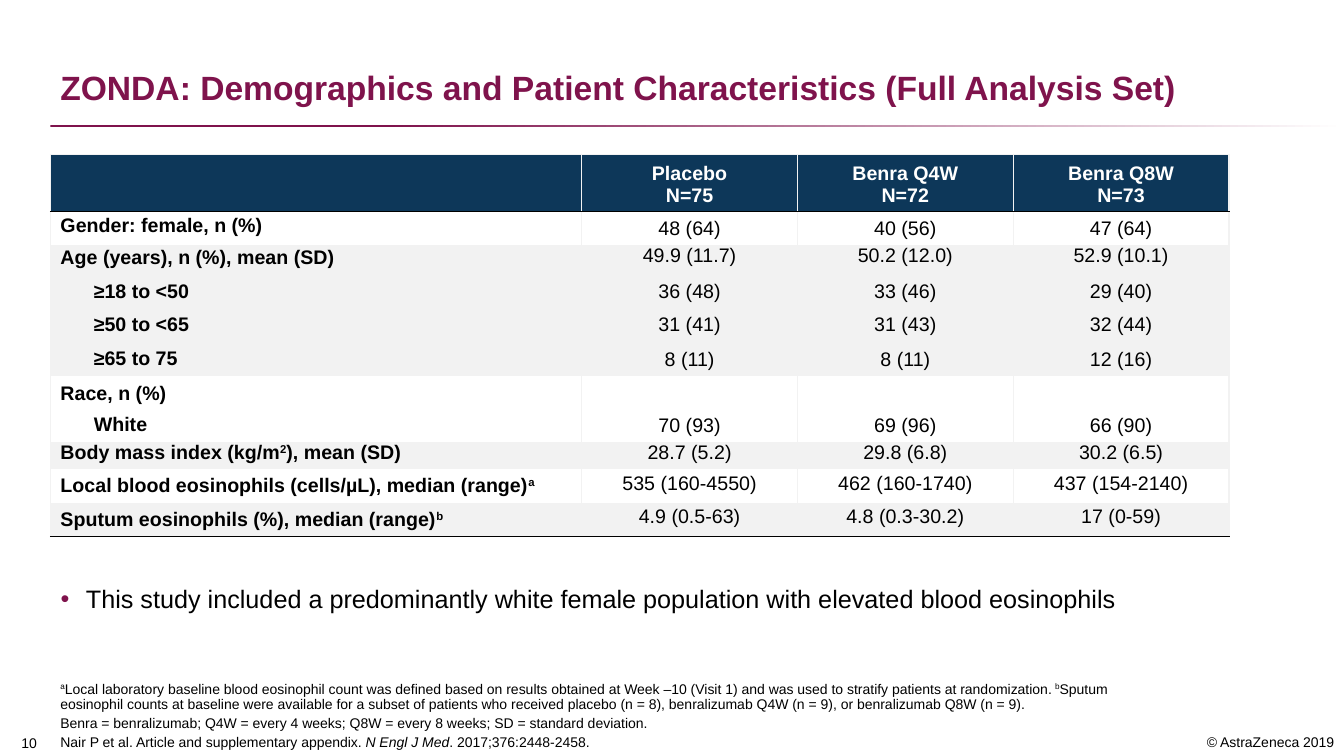
from lxml import etree
from pptx import Presentation
from pptx import util as u
from pptx.dml.color import RGBColor
from pptx.enum import shapes, text
from pptx.oxml.ns import qn

COLORS = {"plum": "7F134C", "navy": "0D3759", "grey": "F2F2F2",
          "white": "FFFFFF", "black": "000000"}
LEFT, CENTER, RIGHT = text.PP_ALIGN.LEFT, text.PP_ALIGN.CENTER, text.PP_ALIGN.RIGHT
TOP, MIDDLE, BOTTOM = (text.MSO_ANCHOR.TOP, text.MSO_ANCHOR.MIDDLE,
                       text.MSO_ANCHOR.BOTTOM)
SUPER, ITALIC = "super", "italic"


def rgb(name):
    return RGBColor.from_string(COLORS[name])


class SlideBuilder:
    font = "Arial"

    def __init__(self, slide):
        self.slide = slide

    def set_line(self, paragraph, segments, size, color="black", bold=False,
                 align=LEFT, spacing=None, before=None, after=None):
        paragraph.alignment = align
        paragraph.line_spacing = spacing
        if before:
            paragraph.space_before = u.Pt(before)
        if after:
            paragraph.space_after = u.Pt(after)
        if isinstance(segments, str):
            segments = [(segments, None)]
        for words, kind in segments:
            run = paragraph.add_run()
            run.text = words
            run.font.name = self.font
            run.font.size = u.Pt(size)
            run.font.bold = bold
            run.font.color.rgb = rgb(color)
            if kind == ITALIC:
                run.font.italic = True
            elif kind == SUPER:
                run.font._element.set("baseline", "30000")

    def textbox(self, box, paragraphs, size, anchor=TOP, wrap=True, before=None, **style):
        frame = self.slide.shapes.add_textbox(*map(u.Inches, box)).text_frame
        frame.word_wrap = wrap
        frame.vertical_anchor = anchor
        for i, segments in enumerate(paragraphs):
            paragraph = frame.add_paragraph() if i else frame.paragraphs[0]
            self.set_line(paragraph, segments, size, before=before if i else None, **style)
        return frame

    def bullet(self, box, sentence, size):
        frame = self.textbox(box, [], size, wrap=False)
        paragraph = frame.paragraphs[0]
        props = paragraph._p.get_or_add_pPr()
        props.set("marL", str(u.Inches(0.31)))
        props.set("indent", str(u.Inches(-0.25)))
        color = etree.SubElement(props, qn("a:buClr"))
        etree.SubElement(color, qn("a:srgbClr"), val=COLORS["plum"])
        etree.SubElement(props, qn("a:buFont"), typeface=self.font)
        etree.SubElement(props, qn("a:buChar"), char="•")
        self.set_line(paragraph, sentence, size, align=CENTER)

    def fading_rule(self, box):
        rule = self.slide.shapes.add_shape(shapes.MSO_SHAPE.RECTANGLE, *map(u.Inches, box))
        rule.shadow.inherit = False
        rule.line.fill.background()
        rule.fill.gradient()
        rule.fill.gradient_angle = 0
        for stop, (position, color) in zip(rule.fill.gradient_stops,
                                           [(0.26, "plum"), (1, "white")]):
            stop.position = position
            stop.color.rgb = rgb(color)

    def table(self, left, top, widths, heights):
        box = map(u.Inches, (left, top, sum(widths), sum(heights)))
        grid = self.slide.shapes.add_table(len(heights), len(widths), *box).table
        grid.first_row = grid.horz_banding = False
        for column, width in zip(grid.columns, widths):
            column.width = u.Inches(width)
        for row, height in zip(grid.rows, heights):
            row.height = u.Inches(height)
        return grid

    def cell(self, cell, fill, top=None, bottom=None, anchor=MIDDLE):
        props = cell._tc.get_or_add_tcPr()
        for side, color in (("L", "grey"), ("R", "grey"), ("T", top), ("B", bottom)):
            border = etree.SubElement(props, qn("a:ln" + side), w=str(u.Pt(1)))
            if color:
                solid = etree.SubElement(border, qn("a:solidFill"))
                etree.SubElement(solid, qn("a:srgbClr"), val=COLORS[color])
            else:
                etree.SubElement(border, qn("a:noFill"))
        cell.fill.solid()
        cell.fill.fore_color.rgb = rgb(fill)
        cell.vertical_anchor = anchor

    def cell_lines(self, cell, lines, gaps=None, indent=0, **style):
        frame = cell.text_frame
        for i, segments in enumerate(lines):
            paragraph = frame.add_paragraph() if i else frame.paragraphs[0]
            if i and indent:
                paragraph._p.get_or_add_pPr().set("marL", str(u.Inches(indent)))
            self.set_line(paragraph, segments, 14,
                          before=gaps[i - 1] if i and gaps else None, **style)


HEADERS = [[], ["Placebo", "N=75"], ["Benra Q4W", "N=72"], ["Benra Q8W", "N=73"]]
CHARACTERISTICS = [
    (["Gender: female, n (%)"], [["48 (64)"], ["40 (56)"], ["47 (64)"]], "white"),
    (["Age (years), n (%), mean (SD)", "≥18 to <50", "≥50 to <65", "≥65 to 75"],
     [["49.9 (11.7)", "36 (48)", "31 (41)", "8 (11)"],
      ["50.2 (12.0)", "33 (46)", "31 (43)", "8 (11)"],
      ["52.9 (10.1)", "29 (40)", "32 (44)", "12 (16)"]], "grey"),
    (["Race, n (%)", "White"], [["70 (93)"], ["69 (96)"], ["66 (90)"]], "white"),
    ([[("Body mass index (kg/m", None), ("2", SUPER), ("), mean (SD)", None)]],
     [["28.7 (5.2)"], ["29.8 (6.8)"], ["30.2 (6.5)"]], "grey"),
    ([[("Local blood eosinophils (cells/µL), median (range)", None), ("a", SUPER)]],
     [["535 (160-4550)"], ["462 (160-1740)"], ["437 (154-2140)"]], "white"),
    ([[("Sputum eosinophils (%), median (range)", None), ("b", SUPER)]],
     [["4.9 (0.5-63)"], ["4.8 (0.3-30.2)"], ["17 (0-59)"]], "grey"),
]
FOOTNOTES = [
    [("a", SUPER),
     ("Local laboratory baseline blood eosinophil count was defined based on results "
      "obtained at Week –10 (Visit 1) and was used to stratify patients at "
      "randomization. ", None),
     ("b", SUPER),
     ("Sputum eosinophil counts at baseline were available for a subset of patients who "
      "received placebo (n = 8), benralizumab Q4W (n = 9), or benralizumab Q8W (n = 9).",
      None)],
    "Benra = benralizumab; Q4W = every 4 weeks; Q8W = every 8 weeks; "
    "SD = standard deviation.",
    [("Nair P et al. Article and supplementary appendix. ", None),
     ("N Engl J Med", ITALIC), (". 2017;376:2448-2458.", None)],
]


def add_demographics(builder):
    grid = builder.table(0.5, 1.53, [5.27] + [2.14] * 3,
                         [0.53, 0.32, 1.3, 0.62, 0.27, 0.32, 0.31])
    for column, lines in enumerate(HEADERS):
        header = grid.cell(0, column)
        builder.cell(header, "navy", top="grey", bottom="black", anchor=BOTTOM)
        builder.cell_lines(header, lines, color="white", bold=True, align=CENTER)

    for row, (labels, arms, fill) in enumerate(CHARACTERISTICS, 1):
        top = "black" if row == 1 else None
        bottom = "black" if row == len(CHARACTERISTICS) else None
        race = len(labels) == 2
        single_spaced = race or row > 4
        label_cell = grid.cell(row, 0)
        builder.cell(label_cell, fill, top, bottom)
        builder.cell_lines(label_cell, labels, gaps=[6] if race else [12] * 3,
                           indent=0.33, bold=True,
                           spacing=None if single_spaced else u.Pt(12))
        for column, values in enumerate(arms, 1):
            value_cell = grid.cell(row, column)
            builder.cell(value_cell, fill, top, bottom, BOTTOM if race else MIDDLE)
            builder.cell_lines(value_cell, values, gaps=[13.5, 12, 13], align=CENTER,
                               spacing=None if row == 1 else u.Pt(12),
                               after=0.5 if row > 2 else None)


def main():
    deck = Presentation()
    deck.slide_width, deck.slide_height = u.Inches(13.33), u.Inches(7.5)
    builder = SlideBuilder(deck.slides.add_slide(deck.slide_layouts[6]))
    builder.textbox((11.11, 7.23, 2.22, 0.27), ["© AstraZeneca 2019"], 10, align=RIGHT)
    builder.fading_rule((0.5, 1.24, 12.83, 0.02))
    builder.textbox((0.5, 0.25, 12.33, 0.87),
                    ["ZONDA: Demographics and Patient Characteristics (Full Analysis Set)"],
                    24, BOTTOM, color="plum", bold=True, spacing=0.9)
    page_number = builder.textbox((0, 7.21, 0.53, 0.29), ["10"], 10, BOTTOM, align=CENTER)
    page_number.margin_right = u.Inches(0.05)
    builder.textbox((0.5, 6.4, 10.78, 1.1), FOOTNOTES, 10, BOTTOM, before=3, spacing=0.9)
    add_demographics(builder)
    builder.bullet((0.39, 5.74, 10.83, 0.4),
                   "This study included a predominantly white female population "
                   "with elevated blood eosinophils", 18)
    deck.save("out.pptx")


if __name__ == "__main__":
    main()
